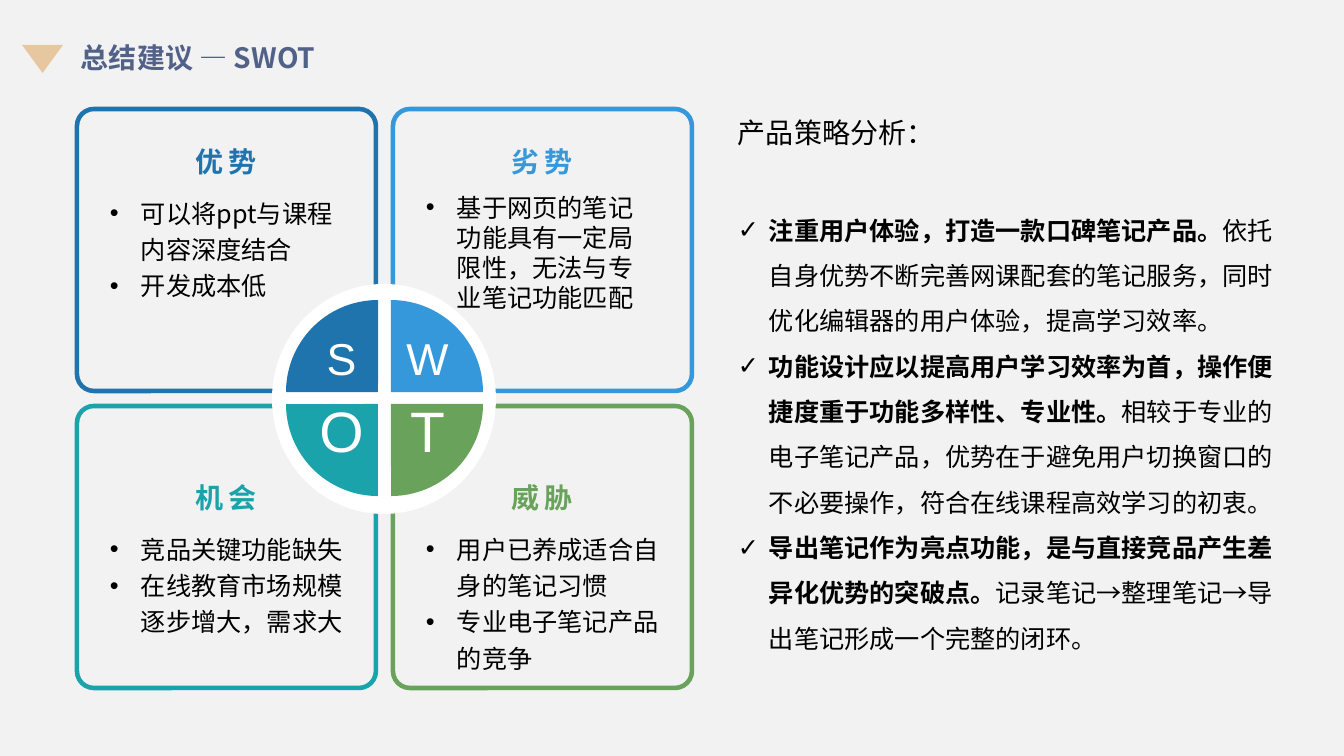
import pptx
import pptx.util
import pptx.dml.color
import pptx.enum.shapes
import pptx.enum.text
import pptx.oxml.ns
import lxml.etree

RGB = pptx.dml.color.RGBColor
SHAPE = pptx.enum.shapes.MSO_SHAPE
ALIGN = pptx.enum.text.PP_ALIGN
ANCHOR = pptx.enum.text.MSO_ANCHOR
qn = pptx.oxml.ns.qn

BACKGROUND = RGB(0xF2, 0xF2, 0xF2)
SAND = RGB(0xE7, 0xC7, 0xA0)
SLATE = RGB(0x52, 0x61, 0x88)
BLACK = RGB(0, 0, 0)
WHITE = RGB(0xFF, 0xFF, 0xFF)
BLUE = RGB(0x1F, 0x74, 0xAD)
SKY = RGB(0x34, 0x98, 0xDB)
TEAL = RGB(0x1A, 0xA3, 0xAA)
GREEN = RGB(0x69, 0xA3, 0x5B)
SANS, LATIN = "Noto Sans CJK SC", "Arial"
LINE = 1.2  # single line height relative to font size

# Content
TITLE = "总结建议 — SWOT"
# letter, letter size, heading, colour, column, row, pie start angle, line spacing, points
QUADRANTS = [
    ("S", 31.9, "优势", BLUE, 0, 0, 180, 1.2, ["可以将ppt与课程内容深度结合", "开发成本低"]),
    ("W", 31.9, "劣势", SKY, 1, 0, 270, 1,
     ["基于网页的笔记功能具有一定局限性，无法与专业笔记功能匹配"]),
    ("T", 40.7, "威胁", GREEN, 1, 1, 0, 1.2,
     ["用户已养成适合自身的笔记习惯", "专业电子笔记产品的竞争"]),
    ("O", 40.7, "机会", TEAL, 0, 1, 90, 1.2,
     ["竞品关键功能缺失", "在线教育市场规模逐步增大，需求大"]),
]
STRATEGY_HEADING = "产品策略分析："
STRATEGIES = [
    ("注重用户体验，打造一款口碑笔记产品。",
     "依托自身优势不断完善网课配套的笔记服务，同时优化编辑器的用户体验，提高学习效率。"),
    ("功能设计应以提高用户学习效率为首，操作便捷度重于功能多样性、专业性。",
     "相较于专业的电子笔记产品，优势在于避免用户切换窗口的不必要操作，符合在线课程高效学习的初衷。"),
    ("导出笔记作为亮点功能，是与直接竞品产生差异化优势的突破点。",
     "记录笔记→整理笔记→导出笔记形成一个完整的闭环。"),
]


def px(n):
    return round(n * 914400 / 100.8)


def add_shape(s, kind, x, y, w, h, fill=None, line=None):
    sp = s.shapes.add_shape(kind, px(x), px(y), px(w), px(h))
    sp.shadow.inherit = False
    if fill is None:
        sp.fill.background()
    else:
        sp.fill.solid()
        sp.fill.fore_color.rgb = fill
    if line is None:
        sp.line.fill.background()
    else:
        sp.line.color.rgb = line
        sp.line.width = pptx.util.Pt(3.25)
    return sp


def add_box(s, x, y, w, h, top=5, bottom=5):
    tf = s.shapes.add_textbox(px(x), px(y), px(w), px(h)).text_frame
    tf.word_wrap = True
    tf.margin_left = tf.margin_right = px(10)
    tf.margin_top, tf.margin_bottom = px(top), px(bottom)
    return tf


def next_paragraph(tf):
    return tf.paragraphs[0] if not tf.text else tf.add_paragraph()


def add_run(p, text, size, color, bold=False, font=SANS):
    r = p.add_run()
    r.text = text
    r.font.size = pptx.util.Pt(size)
    r.font.bold = bold
    r.font.color.rgb = color
    r.font.name = font
    lxml.etree.SubElement(r.font._element, qn("a:ea")).set("typeface", SANS)
    return r


def set_leading(p, size, factor):
    p.line_spacing = pptx.util.Pt(round(size * LINE * factor, 1))


def set_bullet(p, char):
    pPr = p._p.get_or_add_pPr()
    pPr.set("marL", str(px(31)))
    pPr.set("indent", str(-px(31)))
    lxml.etree.SubElement(pPr, qn("a:buFont")).set("typeface", LATIN)
    lxml.etree.SubElement(pPr, qn("a:buChar")).set("char", char)


def add_card(s, heading, color, col, row, spacing, points):
    x, y = 77 + 316 * col, 109 + 297 * row
    card = add_shape(s, SHAPE.ROUNDED_RECTANGLE, x, y, 299, 282, line=color)
    card.adjustments[0] = 0.06

    # Lower cards start their text further down, clear of the wheel
    text_y = y + 24 + 39 * row
    tf = add_box(s, x + 23, text_y, 252, 45, bottom=0)
    tf.vertical_anchor = ANCHOR.MIDDLE
    p = tf.paragraphs[0]
    p.alignment = ALIGN.CENTER
    p.line_spacing = 1.2
    r = add_run(p, heading, 20, color, True, LATIN)
    r.font._element.set("spc", "300")

    tf = add_box(s, x + 23, text_y + 59, 252 + 20 * row, 151 - 59 * row, top=0)
    for point in points:
        p = next_paragraph(tf)
        set_leading(p, 18, spacing)
        set_bullet(p, "•")
        add_run(p, point, 18, BLACK)


def add_wedge(s, letter, size, color, col, row, start):
    cx, cy, radius = 378 + 13 * col, 392 + 12 * row, 92
    pie = add_shape(s, SHAPE.PIE, cx - radius, cy - radius, 2 * radius, 2 * radius, color)
    # Angles are stored in 60000ths of a degree, adjustments in 100000ths
    pie.adjustments[0] = start * 0.6
    pie.adjustments[1] = (start + 90) % 360 * 0.6

    tf = add_box(s, 307 + 86 * col, 326 + 78 * row, 69, 66 + 9 * row)
    p = tf.paragraphs[0]
    p.alignment = ALIGN.CENTER
    p.line_spacing = 0.8 if row else 1.0
    add_run(p, letter, size, WHITE, font=LATIN)


def main():
    prs = pptx.Presentation()
    prs.slide_width, prs.slide_height = px(1344), px(756)
    s = prs.slides.add_slide(prs.slide_layouts[6])
    s.background.fill.solid()
    s.background.fill.fore_color.rgb = BACKGROUND

    # Title
    add_shape(s, SHAPE.ISOSCELES_TRIANGLE, 22, 45, 41, 28, SAND).rotation = 180
    p = add_box(s, 71, 35, 342, 44).paragraphs[0]
    set_leading(p, 20, 1)
    add_run(p, TITLE, 20, SLATE, True)

    # Strategy column
    tf = add_box(s, 728, 94, 565, 616)
    p = tf.paragraphs[0]
    set_leading(p, 20, 1.5)
    p.space_after = pptx.util.Pt(36)
    add_run(p, STRATEGY_HEADING, 20, BLACK)
    for lead, detail in STRATEGIES:
        p = next_paragraph(tf)
        set_leading(p, 18, 1.5)
        set_bullet(p, "✓")
        add_run(p, lead, 18, BLACK, True)
        add_run(p, detail, 18, BLACK)

    # Cards, then the wheel over their inner corners
    for _, _, heading, color, col, row, _, spacing, points in QUADRANTS:
        add_card(s, heading, color, col, row, spacing, points)
    add_shape(s, SHAPE.OVAL, 272, 284, 224, 230, WHITE)
    for letter, size, _, color, col, row, start, _, _ in QUADRANTS:
        add_wedge(s, letter, size, color, col, row, start)

    prs.save("out.pptx")


if __name__ == "__main__":
    main()
